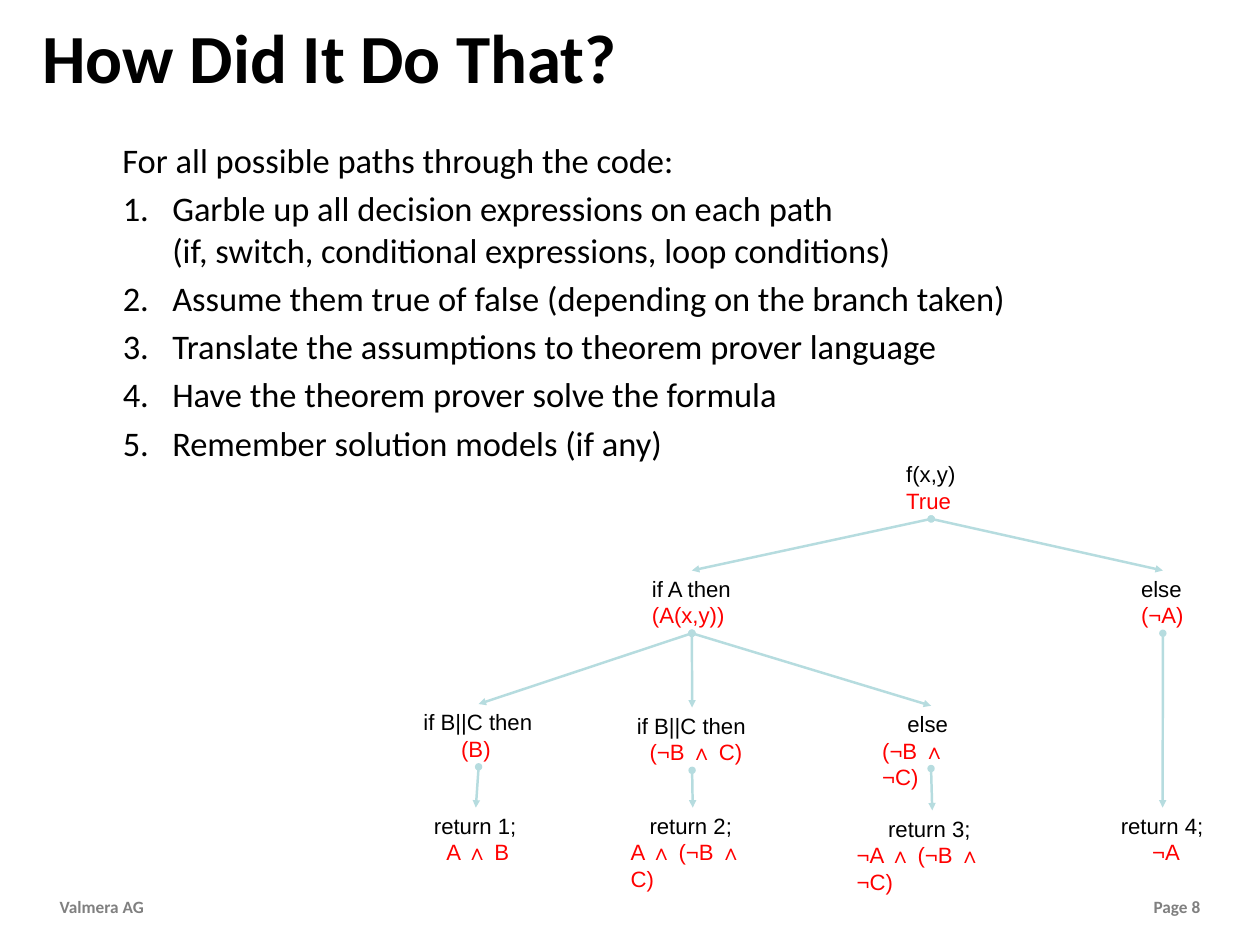
from dataclasses import dataclass

from lxml.etree import SubElement
from pptx import Presentation
from pptx.dml.color import RGBColor
from pptx.enum.shapes import MSO_CONNECTOR as Connector
from pptx.enum.text import MSO_ANCHOR as Anchor, MSO_AUTO_SIZE as AutoSize, PP_ALIGN as Align
from pptx.oxml.ns import qn
from pptx.util import Cm, Pt

BLACK, RED, GREY, TEAL = "000000", "FF0000", "808080", "B6DCDF"
TOP, BOTTOM = 0, 2
NODE_HEIGHT = 1.8
WIDE_MARGINS = (0.36, 0.18, 0.36, 0.18)
SPACE_WIDTH = 0.18


@dataclass
class Node:
    """A step in the path tree; shifts are in widths of a space."""
    name: str
    left: float
    top: float
    width: float
    code: str
    formula: str
    code_shift: int = 0
    formula_shift: int = 0
    wrap: bool = False
    parent: str = ""


NODES = [
    Node("root", 25.73, 13.08, 1.93, "f(x,y)", "True"),
    Node("if A", 18.44, 16.36, 2.79, "if A then", "(A(x,y))", parent="root"),
    Node("else A", 32.46, 16.36, 1.75, "else", "(¬A)", parent="root"),
    Node("if B", 11.89, 20.19, 3.66, "if B||C then", "(B)", formula_shift=6, parent="if A"),
    Node("if C", 18.01, 20.29, 3.66, "if B||C then", "(¬B ∧ C)", formula_shift=2, parent="if A"),
    Node("else B", 25.04, 20.24, 3.3, "else", "(¬B ∧ ¬C)", code_shift=4, wrap=True, parent="if A"),
    Node("return 1", 12.19, 23.16, 2.9, "return 1;", "A ∧ B", formula_shift=2, parent="if B"),
    Node("return 2", 17.83, 23.16, 4.06, "return 2;", "A ∧ (¬B ∧ C)",
         code_shift=3, wrap=True, parent="if C"),
    Node("return 3", 24.31, 23.24, 4.83, "return 3;", "¬A ∧ (¬B ∧ ¬C)",
         code_shift=5, wrap=True, parent="else B"),
    Node("return 4", 31.88, 23.16, 2.9, "return 4;", "¬A", formula_shift=5, parent="else A"),
]

STEPS = [
    "Garble up all decision expressions on each path\v"
    "(if, switch, conditional expressions, loop conditions)",
    "Assume them true of false (depending on the branch taken)",
    "Translate the assumptions to theorem prover language",
    "Have the theorem prover solve the formula",
    "Remember solution models (if any)",
]


def rgb(colour: str) -> RGBColor:
    return RGBColor.from_string(colour)


def set_frame(frame, margins=(0.25, 0.13, 0.25, 0.13), wrap: bool = True) -> None:
    frame.auto_size = AutoSize.NONE
    frame.word_wrap = wrap
    frame.vertical_anchor = Anchor.TOP
    (frame.margin_left, frame.margin_top,
     frame.margin_right, frame.margin_bottom) = map(Cm, margins)


def add_box(page, left: float, top: float, width: float, height: float, **frame_format):
    box = page.shapes.add_textbox(Cm(left), Cm(top), Cm(width), Cm(height))
    set_frame(box.text_frame, **frame_format)
    return box


def write(frame, text: str, *, size: float, font: str = "Calibri", colour: str = BLACK,
          bold: bool = False, align=Align.LEFT, margin: float = 0, hanging: float = 0,
          before: float = 0, numbered: bool = False) -> None:
    """Fill the frame's empty first paragraph, or add one after the last."""
    para = frame.paragraphs[-1]
    if para.text:
        para = frame.add_paragraph()
    para.text = text
    para.alignment = align
    para.space_before = Pt(before)
    properties = para._p.get_or_add_pPr()
    properties.set("marL", str(Cm(margin)))
    properties.set("indent", str(-Cm(hanging)))
    if numbered:
        SubElement(properties, qn("a:buFont"), typeface="+mj-lt")
        SubElement(properties, qn("a:buAutoNum"), type="arabicPeriod")
    for span in para.runs:
        span.font.name = font
        span.font.size = Pt(size)
        span.font.bold = bold
        span.font.color.rgb = rgb(colour)


def add_node(page, node: Node):
    box = add_box(page, node.left, node.top, node.width, NODE_HEIGHT, wrap=node.wrap)
    for text, shift, colour in ((node.code, node.code_shift, BLACK),
                                (node.formula, node.formula_shift, RED)):
        write(box.text_frame, text, size=18, font="Arial", colour=colour,
              margin=shift * SPACE_WIDTH)
    return box


def add_branch(page, parent, child) -> None:
    branch = page.shapes.add_connector(Connector.STRAIGHT, 0, 0, 0, 0)
    branch.begin_connect(parent, BOTTOM)
    branch.end_connect(child, TOP)
    branch.line.color.rgb = rgb(TEAL)
    branch.line.width = Pt(2)
    line = branch.line._get_or_add_ln()
    SubElement(line, qn("a:headEnd"), type="oval")
    SubElement(line, qn("a:tailEnd"), type="triangle")
    SubElement(branch._element.spPr, qn("a:effectLst"))


def main() -> None:
    deck = Presentation()
    deck.slide_width, deck.slide_height = Cm(36.12), Cm(27.1)
    page = deck.slides.add_slide(deck.slide_layouts[5])

    title = page.shapes.title
    title.left, title.top, title.width, title.height = Cm(1.22), Cm(0.25), Cm(29.85), Cm(2.62)
    set_frame(title.text_frame, margins=(0, 0.18, 0.36, 0.18))
    write(title.text_frame, "How Did It Do That?", size=56, bold=True)

    body = add_box(page, 1.35, 3.81, 33.43, 20.29, margins=WIDE_MARGINS).text_frame
    write(body, "For all possible paths through the code:", size=28, margin=1.8)
    for step in STEPS:
        write(body, step, size=28, margin=3.23, hanging=1.42, before=5.6, numbered=True)

    boxes = {node.name: add_node(page, node) for node in NODES}
    for node in NODES:
        if node.parent:
            add_branch(page, boxes[node.parent], boxes[node.name])

    for text, left, width, align in (("Valmera AG", 1.35, 2.92, Align.LEFT),
                                     ("Page 8", 27.05, 7.72, Align.RIGHT)):
        footer = add_box(page, left, 25.53, width, 0.97, margins=WIDE_MARGINS, wrap=False)
        write(footer.text_frame, text, size=14, colour=GREY, bold=True, align=align)

    deck.save("out.pptx")


if __name__ == "__main__":
    main()
